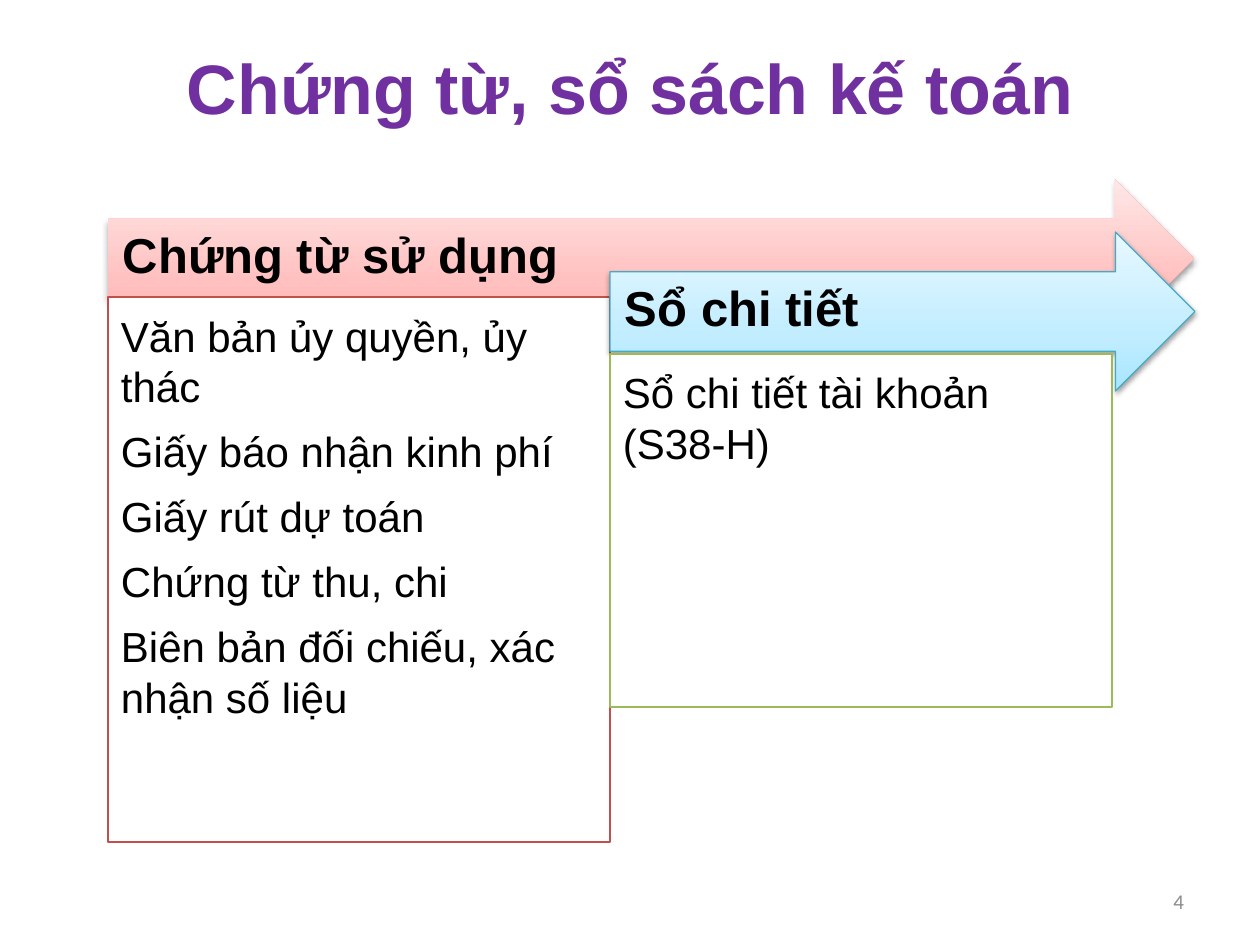
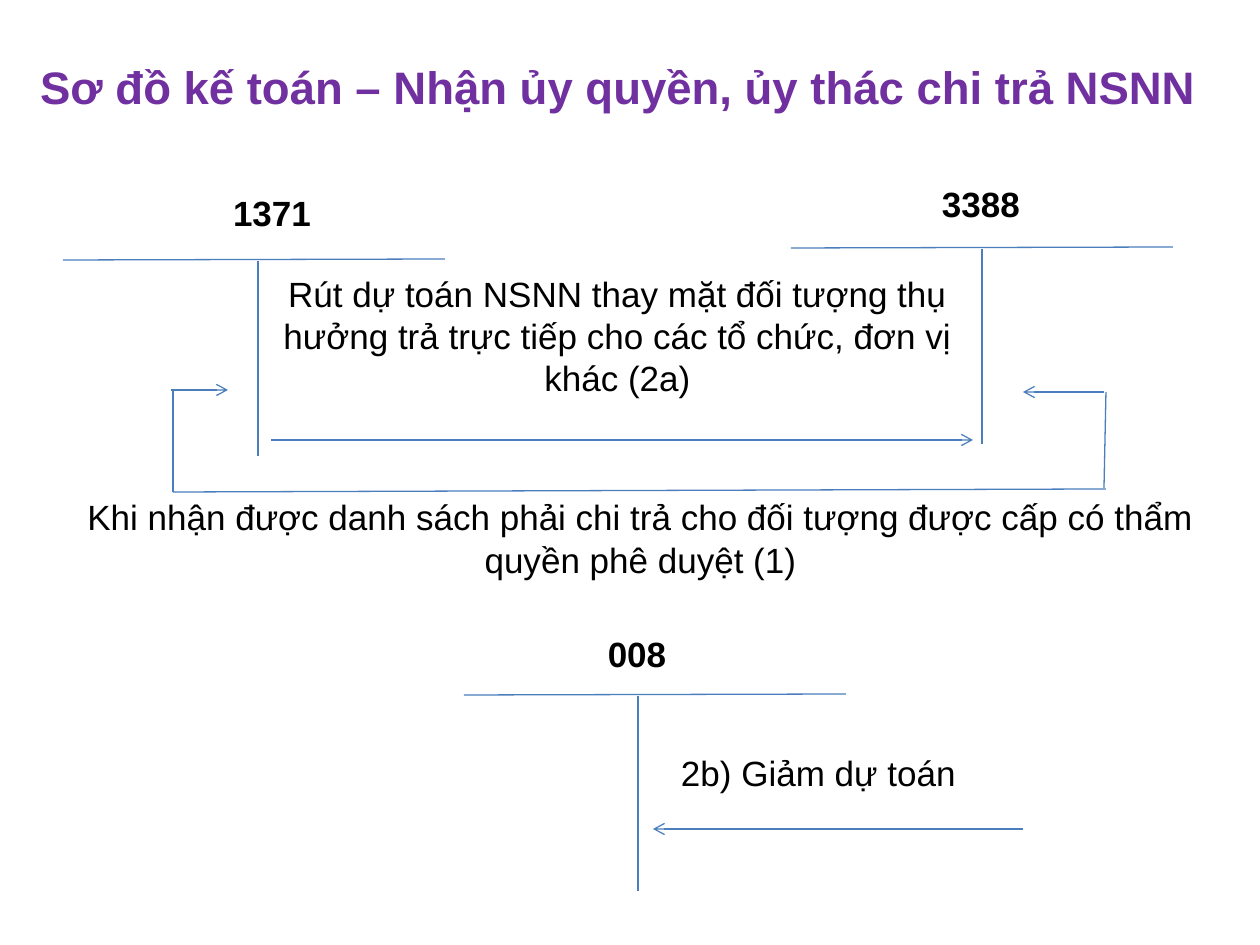
"""Builds two slides on accounting vouchers, ledgers and T-account entries."""
from dataclasses import dataclass

from lxml.etree import SubElement
from pptx import Presentation
from pptx.dml.color import RGBColor as Rgb
from pptx.enum.shapes import MSO_CONNECTOR as Connector, MSO_SHAPE as Shape
from pptx.enum.text import MSO_ANCHOR as Anchor, PP_ALIGN as Align
from pptx.oxml.ns import qn
from pptx.util import Emu, Pt


@dataclass(frozen=True)
class Theme:
    """Colours, fonts and type sizes shared by the slides."""
    font: str = "Arial"
    number_font: str = "Calibri"
    title: str = "7030A0"
    ink: str = "000000"
    paper: str = "FFFFFF"
    muted: str = "8C8C8C"
    rule: str = "4B7EBC"
    red_band: tuple = ("FFA6A5", "FFC0BF", "FFE7E7")
    blue_band: tuple = ("A7E6FF", "C1EDFF", "E7F8FF")
    red_edge: str = "C0504D"
    green_edge: str = "9BBB59"
    blue_edge: str = "46AAC5"
    title_size: int = 40
    long_title_size: int = 26
    heading_size: int = 28
    list_size: int = 24
    diagram_size: int = 20
    number_size: int = 12
    line_width: float = 0.75


THEME = Theme()
EMU_PER_PX = 914400 / 126


def px(*lengths):
    """Turn pixel lengths into EMU."""
    return [Emu(round(length * EMU_PER_PX)) for length in lengths]


def write(holder, text, size, color=THEME.ink, bold=False, align=Align.LEFT,
          anchor=Anchor.TOP, insets=(13, 6, 13, 6), font=THEME.font,
          spacing=None, after=None):
    """Put formatted text in a shape or text box."""
    frame = holder.text_frame
    frame.word_wrap = True
    frame.vertical_anchor = anchor
    (frame.margin_left, frame.margin_top,
     frame.margin_right, frame.margin_bottom) = px(*insets)
    frame.text = text
    for paragraph in frame.paragraphs:
        paragraph.alignment = align
        if spacing:
            paragraph.line_spacing = spacing
        if after:
            paragraph.space_after = Pt(after)
        for run in paragraph.runs:
            run.font.name = font
            run.font.size = Pt(size)
            run.font.bold = bold
            run.font.color.rgb = Rgb.from_string(color)


def add_label(slide, box, text, size, **style):
    """Add a text box."""
    write(slide.shapes.add_textbox(*px(*box)), text, size, **style)


def add_title(slide, box, text, size, spacing=None):
    """Add the purple slide title."""
    add_label(slide, box, text, size, color=THEME.title, bold=True,
              align=Align.CENTER, anchor=Anchor.BOTTOM, spacing=spacing)


def set_edge(outlined, color):
    """Give a shape or connector a thin line."""
    outlined.line.color.rgb = Rgb.from_string(color)
    outlined.line.width = Pt(THEME.line_width)


def fill_band(band, colors):
    """Fill with three colours running from the bottom to the top."""
    band.fill.gradient()
    band.fill.gradient_angle = 90
    stops = band._element.spPr.find(qn("a:gradFill")).find(qn("a:gsLst"))
    stops.clear()
    for position, color in zip((0, 35000, 100000), colors):
        stop = SubElement(stops, qn("a:gs"), pos=str(position))
        SubElement(stop, qn("a:srgbClr"), val=color)


def cast_shadow(band):
    """Add a soft shadow below a shape."""
    band.shadow.inherit = False
    effects = band._element.spPr.find(qn("a:effectLst"))
    shadow = SubElement(effects, qn("a:outerShdw"), blurRad="40000",
                        dist="20000", dir="5400000", rotWithShape="0")
    tint = SubElement(shadow, qn("a:srgbClr"), val=THEME.ink)
    SubElement(tint, qn("a:alpha"), val="38000")


def add_heading_arrow(slide, box, heading, colors, edge=None):
    """Add a gradient arrow carrying a heading."""
    arrow = slide.shapes.add_shape(Shape.RIGHT_ARROW, *px(*box))
    fill_band(arrow, colors)
    if edge:
        set_edge(arrow, edge)
    else:
        arrow.line.fill.background()
    cast_shadow(arrow)
    write(arrow, heading, THEME.heading_size, bold=True, anchor=Anchor.MIDDLE,
          insets=(15, 15, 35, 25), after=9.8)


def add_list_panel(slide, box, entries, edge):
    """Add an outlined panel listing documents."""
    panel = slide.shapes.add_shape(Shape.RECTANGLE, *px(*box))
    panel.shadow.inherit = False
    panel.fill.solid()
    panel.fill.fore_color.rgb = Rgb.from_string(THEME.paper)
    set_edge(panel, edge)
    write(panel, "\n".join(entries), THEME.list_size,
          insets=(13, 13, 13, 13), after=8.4)


def add_rule(slide, start, end, arrow=False):
    """Draw a thin straight line, with an arrowhead at its end if asked."""
    rule = slide.shapes.add_connector(Connector.STRAIGHT, *px(*start, *end))
    set_edge(rule, THEME.rule)
    if arrow:
        SubElement(rule.line._get_or_add_ln(), qn("a:tailEnd"), type="arrow")
    SubElement(rule._element.spPr, qn("a:effectLst"))


def add_account(slide, number, label_corner, bar_left, bar_y, stem_x):
    """Draw a T-account with its number above the bar."""
    add_rule(slide, (bar_left, bar_y), (bar_left + 382, bar_y - 1))
    add_rule(slide, (stem_x, bar_y + 1), (stem_x, bar_y + 196))
    add_label(slide, (*label_corner, 272, 79), number, THEME.diagram_size,
              bold=True, align=Align.CENTER, spacing=1.5)


def build_documents(slide):
    """Vouchers and ledgers in use."""
    add_title(slide, (87, 29, 1086, 107), "Chứng từ, sổ sách kế toán",
              THEME.title_size, spacing=0.9)
    add_label(slide, (903, 876, 294, 50), "4", THEME.number_size,
              color=THEME.muted, font=THEME.number_font, align=Align.RIGHT,
              anchor=Anchor.MIDDLE)
    add_heading_arrow(slide, (108, 179, 1086, 159), "Chứng từ sử dụng",
                      THEME.red_band)
    add_list_panel(slide, (108, 297, 502, 545),
                   ["Văn bản ủy quyền, ủy thác", "Giấy báo nhận kinh phí",
                    "Giấy rút dự toán", "Chứng từ thu, chi",
                    "Biên bản đối chiếu, xác nhận số liệu"], THEME.red_edge)
    add_heading_arrow(slide, (610, 232, 585, 159), "Sổ chi tiết",
                      THEME.blue_band, THEME.blue_edge)
    add_list_panel(slide, (610, 354, 502, 353),
                   ["Sổ chi tiết tài khoản (S38-H)"], THEME.green_edge)


def build_entries(slide):
    """T-account diagram of the entrusted payments."""
    add_title(slide, (-21, 18, 1279, 102),
              "Sơ đồ kế toán – Nhận ủy quyền, ủy thác chi trả NSNN",
              THEME.long_title_size)
    add_account(slide, "1371", (136, 165), 63, 260, 258)
    add_account(slide, "3388", (845, 155), 791, 248, 982)
    add_account(slide, "008", (501, 606), 464, 695, 638)

    add_label(slide, (257, 267, 721, 212),
              "Rút dự toán NSNN thay mặt đối tượng thụ hưởng trả trực tiếp "
              "cho các tổ chức, đơn vị khác (2a)",
              THEME.diagram_size, align=Align.CENTER)
    add_label(slide, (63, 490, 1155, 113),
              "Khi nhận được danh sách phải chi trả cho đối tượng được cấp "
              "có thẩm quyền phê duyệt (1)",
              THEME.diagram_size, align=Align.CENTER)
    add_label(slide, (668, 746, 364, 64), "2b) Giảm dự toán",
              THEME.diagram_size)

    for start, end in (((173, 492), (1106, 489)),
                       ((1104, 488), (1106, 392)),
                       ((173, 390), (173, 492))):
        add_rule(slide, start, end)
    for start, end in (((271, 440), (973, 440)),
                       ((171, 390), (228, 390)),
                       ((1104, 392), (1023, 392)),
                       ((1023, 829), (653, 829))):
        add_rule(slide, start, end, arrow=True)


def main():
    """Build and save the deck."""
    deck = Presentation()
    deck.slide_width, deck.slide_height = px(1260, 945)
    blank = deck.slide_layouts[6]
    for build in (build_documents, build_entries):
        build(deck.slides.add_slide(blank))
    deck.save("out.pptx")


if __name__ == "__main__":
    main()
